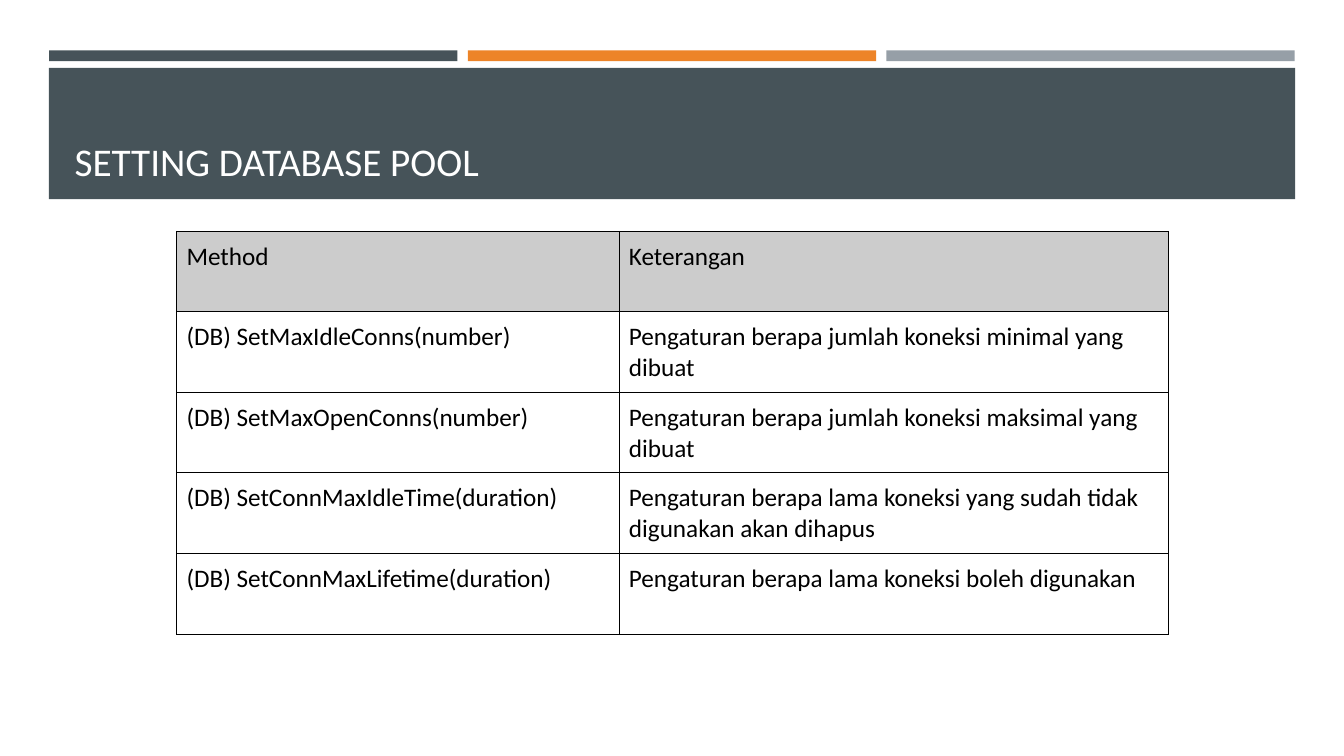
from typing import NamedTuple

from lxml import etree
from pptx import Presentation
from pptx import util as u
from pptx.dml.color import RGBColor
from pptx.enum import shapes, text
from pptx.oxml.ns import qn

FONT = "Calibri"
SLATE, ORANGE, GREY = "465359", "ED8428", "969FA7"
WHITE, BLACK, HEADER_GREY = "FFFFFF", "000000", "CCCCCC"


class Band(NamedTuple):
    """A plain coloured rectangle, measured in centimetres."""
    left: float
    top: float
    width: float
    height: float
    color: str


class Method(NamedTuple):
    """One table row: a method and its explanation."""
    name: str
    meaning: str


STRIPE_LEFT, STRIPE_STEP = 1.24, 10.55
BANDS = [Band(STRIPE_LEFT + i * STRIPE_STEP, 1.27, 10.29, 0.27, color)
         for i, color in enumerate((SLATE, ORANGE, GREY))]
BANDS.append(Band(1.23, 1.71, 31.41, 3.31, SLATE))

METHODS = [
    Method("Method", "Keterangan"),
    Method("(DB) SetMaxIdleConns(number)",
           "Pengaturan berapa jumlah koneksi minimal yang dibuat"),
    Method("(DB) SetMaxOpenConns(number)",
           "Pengaturan berapa jumlah koneksi maksimal yang dibuat"),
    Method("(DB) SetConnMaxIdleTime(duration)",
           "Pengaturan berapa lama koneksi yang sudah tidak digunakan akan dihapus"),
    Method("(DB) SetConnMaxLifetime(duration)",
           "Pengaturan berapa lama koneksi boleh digunakan"),
]
COLUMN_WIDTHS = (11.15, 13.84)
ROW_HEIGHT = 2.03


def rgb(color: str) -> RGBColor:
    """Turn a hex string into a colour."""
    return RGBColor.from_string(color)


def write(frame, words: str, size: int, color: str) -> None:
    """Put one paragraph of styled text into a text frame."""
    frame.word_wrap = True
    paragraph = frame.paragraphs[0]
    paragraph.text = words
    font = paragraph.font
    font.name, font.size = FONT, u.Pt(size)
    font.color.rgb = rgb(color)


def draw_band(slide, band: Band) -> None:
    """Draw a rectangle without outline or shadow."""
    shape = slide.shapes.add_shape(
        shapes.MSO_SHAPE.RECTANGLE, *(u.Cm(length) for length in band[:4]))
    shape.shadow.inherit = False
    shape.fill.solid()
    shape.fill.fore_color.rgb = rgb(band.color)
    shape.line.fill.background()


def draw_title(slide, words: str) -> None:
    """Write the title at the bottom of the large band."""
    title = slide.shapes.add_textbox(u.Cm(1.63), u.Cm(1.96), u.Cm(30.63), u.Cm(2.82))
    write(title.text_frame, words, 28, WHITE)
    title.text_frame.vertical_anchor = text.MSO_ANCHOR.BOTTOM


def add_borders(cell, color: str) -> None:
    """Line all four sides of a cell; borders must precede its fill."""
    properties = cell._tc.get_or_add_tcPr()
    for position, side in enumerate(("lnL", "lnR", "lnT", "lnB")):
        line = etree.Element(qn(f"a:{side}"), w=str(u.Pt(0.75)))
        fill = etree.SubElement(line, qn("a:solidFill"))
        etree.SubElement(fill, qn("a:srgbClr"), val=color)
        properties.insert(position, line)


def draw_methods(slide, methods: list[Method]) -> None:
    """Draw the table of methods with a grey header row."""
    table = slide.shapes.add_table(
        len(methods), len(COLUMN_WIDTHS), u.Cm(4.45), u.Cm(5.83),
        u.Cm(sum(COLUMN_WIDTHS)), u.Cm(ROW_HEIGHT * len(methods))).table
    table.first_row = table.horz_banding = False
    for column, width in zip(table.columns, COLUMN_WIDTHS):
        column.width = u.Cm(width)
    for index, (row, method) in enumerate(zip(table.rows, methods)):
        row.height = u.Cm(ROW_HEIGHT)
        for cell, words in zip(row.cells, method):
            cell.margin_left = cell.margin_right = u.Cm(0.25)
            cell.margin_top = cell.margin_bottom = u.Cm(0.25)
            write(cell.text_frame, words, 18, BLACK)
            cell.fill.solid()
            cell.fill.fore_color.rgb = rgb(WHITE if index else HEADER_GREY)
            add_borders(cell, BLACK)


deck = Presentation()
deck.slide_width, deck.slide_height = u.Cm(33.87), u.Cm(19.05)
pool_slide = deck.slides.add_slide(deck.slide_layouts[6])
for band in BANDS:
    draw_band(pool_slide, band)
draw_title(pool_slide, "SETTING DATABASE POOL")
draw_methods(pool_slide, METHODS)
deck.save("out.pptx")
